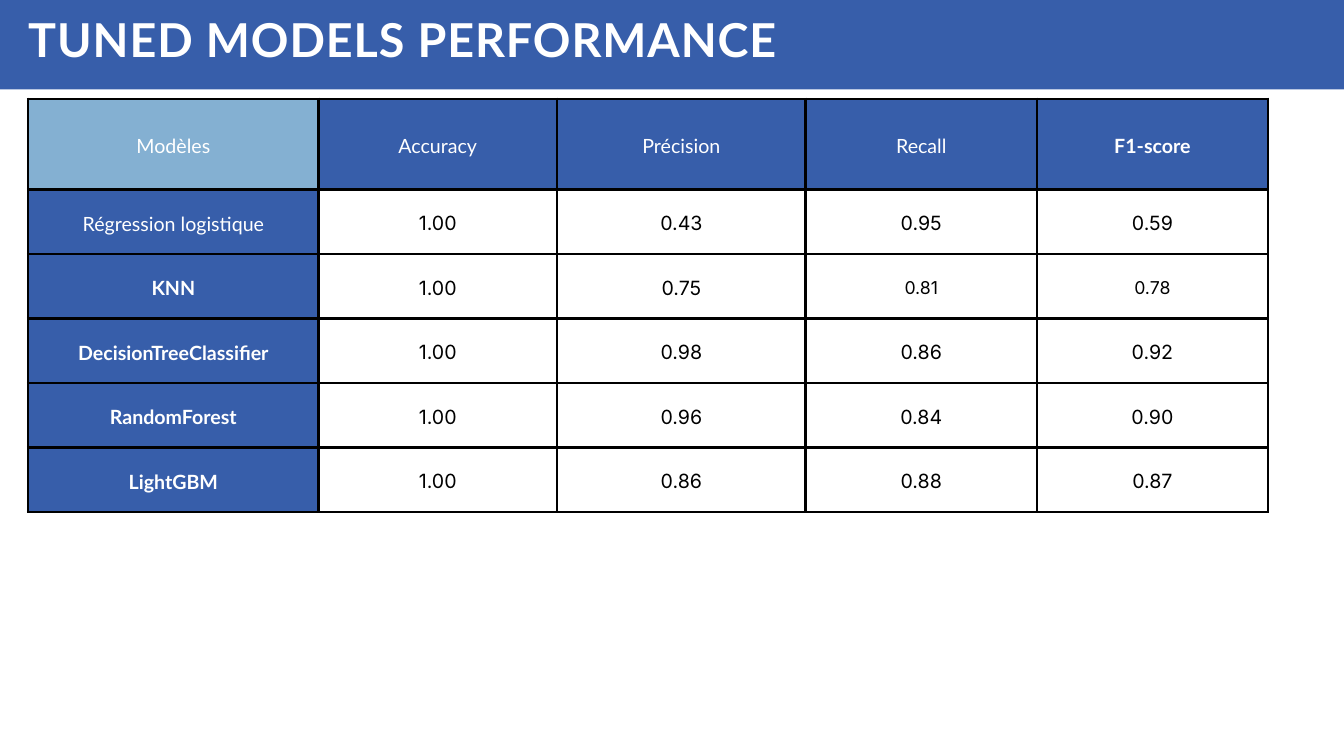
from pptx import Presentation
from pptx.dml.color import RGBColor
from pptx.enum.shapes import MSO_SHAPE as Shape
from pptx.enum.text import MSO_ANCHOR as Anchor, PP_ALIGN as Align
from pptx.oxml import parse_xml
from pptx.oxml.ns import nsdecls
from pptx.util import Inches, Pt

BLUE, LIGHT_BLUE, WHITE, BLACK = "375EAA", "84B0D2", "FFFFFF", "000000"
COL_WIDTHS = [4.32, 3.55, 3.7, 3.44, 3.44]
ROW_HEIGHTS = [1.35] + [0.96] * 5
SCORES = [
    ["Modèles", "Accuracy", "Précision", "Recall", "F1-score"],
    ["Régression logistique", "1.00", "0.43", "0.95", "0.59"],
    ["KNN", "1.00", "0.75", "0.81", "0.78"],
    ["DecisionTreeClassifier", "1.00", "0.98", "0.86", "0.92"],
    ["RandomForest", "1.00", "0.96", "0.84", "0.90"],
    ["LightGBM", "1.00", "0.86", "0.88", "0.87"],
]
BOLD_LABELS = {"F1-score", "KNN", "DecisionTreeClassifier", "RandomForest", "LightGBM"}
SMALL_CELLS = {(2, 3), (2, 4)}


def rgb(color):
    return RGBColor.from_string(color)


def add_text(p, text, size, font, color, bold=False):
    """Add one run, with line spacing at 1.4 times its size."""
    p.line_spacing = Pt(round(size * 1.4, 1))
    r = p.add_run()
    r.text = text
    r.font.size = Pt(size)
    r.font.name = font
    r.font.bold = bold
    r.font.color.rgb = rgb(color)
    return r


def add_band(slide):
    s = slide.shapes.add_shape(Shape.RECTANGLE, Inches(0), Inches(-0.23), Inches(20), Inches(1.56))
    s.shadow.inherit = False
    s.fill.solid()
    s.fill.fore_color.rgb = rgb(BLUE)
    s.line.fill.background()


def add_title(slide, text):
    s = slide.shapes.add_textbox(Inches(0.42), Inches(0.03), Inches(15.41), Inches(0.93))
    tf = s.text_frame
    tf.word_wrap = True
    tf.margin_left = tf.margin_top = tf.margin_right = tf.margin_bottom = 0
    r = add_text(tf.paragraphs[0], text, 50, "Lato", WHITE, bold=True)
    r.font._element.set("spc", "100")


def add_borders(cell, color, width):
    tc_pr = cell._tc.get_or_add_tcPr()
    for side in "LRTB":
        tc_pr.append(parse_xml(
            f'<a:ln{side} {nsdecls("a")} w="{Pt(width)}"><a:solidFill>'
            f'<a:srgbClr val="{color}"/></a:solidFill></a:ln{side}>'))


def style_cell(cell, fill):
    cell.margin_left = cell.margin_top = cell.margin_right = cell.margin_bottom = Inches(0.21)
    cell.vertical_anchor = Anchor.MIDDLE
    add_borders(cell, BLACK, 3)
    if fill:
        cell.fill.solid()
        cell.fill.fore_color.rgb = rgb(fill)
    else:
        cell.fill.background()


def add_score_table(slide):
    frame = slide.shapes.add_table(
        len(ROW_HEIGHTS), len(COL_WIDTHS), Inches(0.42), Inches(1.47),
        Inches(sum(COL_WIDTHS)), Inches(sum(ROW_HEIGHTS)))
    table = frame.table
    table.first_row = table.horz_banding = False
    for column, width in zip(table.columns, COL_WIDTHS):
        column.width = Inches(width)
    for row, height in zip(table.rows, ROW_HEIGHTS):
        row.height = Inches(height)
    for i, values in enumerate(SCORES):
        for j, text in enumerate(values):
            cell = table.cell(i, j)
            is_label = i == 0 or j == 0
            corner = i == j == 0
            style_cell(cell, LIGHT_BLUE if corner else BLUE if is_label else None)
            p = cell.text_frame.paragraphs[0]
            p.alignment = Align.CENTER
            font, color = ("Lato", WHITE) if is_label else ("Inter", BLACK)
            size = 19 if (i, j) in SMALL_CELLS else 21
            add_text(p, text, size, font, color, text in BOLD_LABELS)


def main():
    prs = Presentation()
    prs.slide_width, prs.slide_height = Inches(20), Inches(11.25)
    slide = prs.slides.add_slide(prs.slide_layouts[6])
    slide.background.fill.solid()
    slide.background.fill.fore_color.rgb = rgb(WHITE)
    add_score_table(slide)
    add_band(slide)
    add_title(slide, "TUNED MODELS PERFORMANCE")
    prs.save("out.pptx")


if __name__ == "__main__":
    main()
